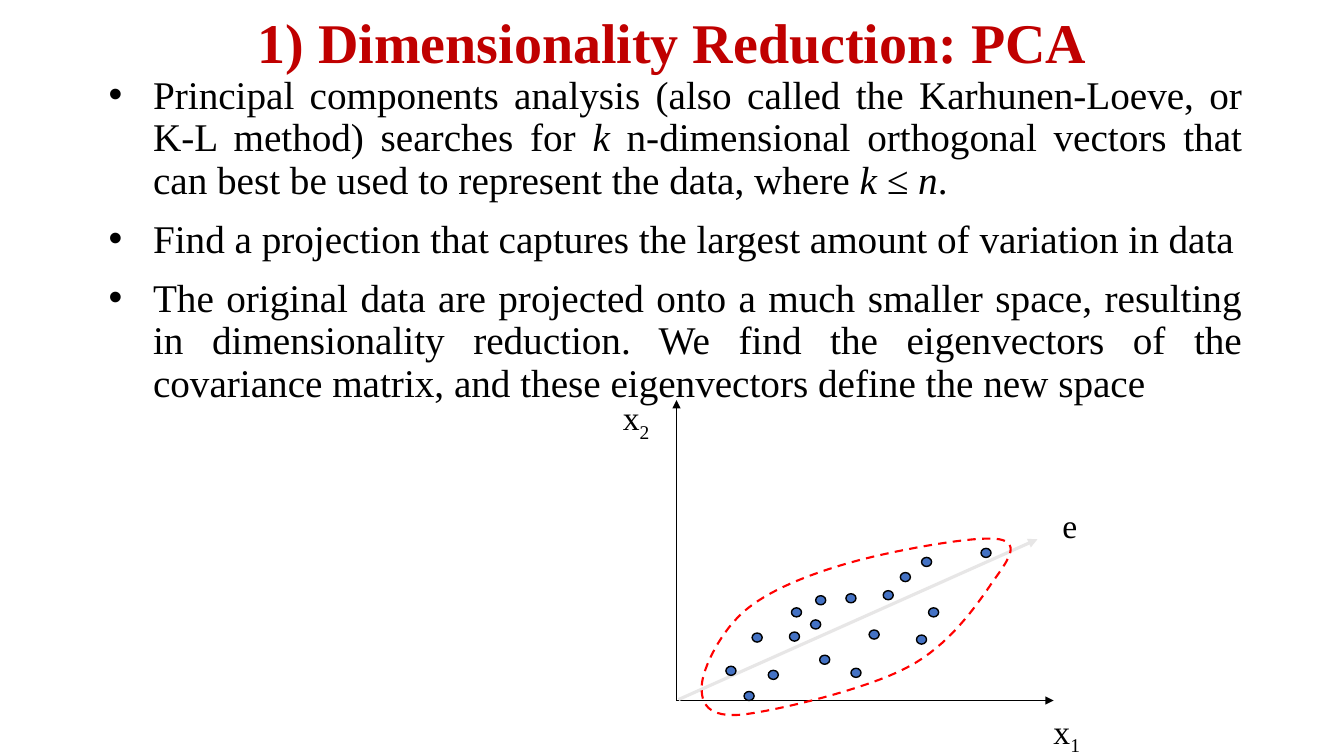
from pptx import Presentation
from pptx.dml.color import RGBColor
from pptx.enum.dml import MSO_LINE_DASH_STYLE as Dash
from pptx.enum.shapes import MSO_CONNECTOR as Conn, MSO_SHAPE as Kind
from pptx.enum.text import MSO_ANCHOR as Anchor, PP_ALIGN as Align
from pptx.oxml.ns import qn
from pptx.util import Inches, Pt
from lxml.etree import SubElement

# Content: a paragraph is a list of (text, style) runs
FONT = "Times New Roman"
TITLE = [[("1) Dimensionality Reduction: PCA", "")]]
BODY = [
    [("Principal components analysis (also called the Karhunen-Loeve, or K-L method) "
      "searches for ", ""), ("k", "i"),
     (" n-dimensional orthogonal vectors that can best be used to represent the data, "
      "where ", ""), ("k ≤ n", "i"), (".", "")],
    [("Find a projection that captures the largest amount of variation in data", "")],
    [("The original data are projected onto a much smaller space, resulting in "
      "dimensionality reduction. We find the eigenvectors of the covariance matrix, "
      "and these eigenvectors define the new space", "")],
]

# Plot data, in hundredths of an inch right of and above the origin
ORIGIN = (6.71, 6.95)
ARROWS = [
    ((0, 0), (0, 298), "000000", 1),
    ((0, 0), (374, 0), "000000", 1),
    ((2, 1), (358, 160), "E7E6E6", 2.25),
]
DOTS = [(75, 58), (114, 83), (49, 25), (133, 71), (112, 59), (191, 61),
        (173, 23), (142, 36), (168, 97), (250, 83), (302, 142), (91, 21),
        (205, 100), (243, 133), (138, 95), (222, 118), (238, 56), (67, 0)]
DOT = (0.1, 0.09)
CLOUD = [(25, 15),
         (26, 32), (44, 70), (70, 91),
         (96, 112), (139, 128), (180, 139),
         (222, 150), (298, 164), (320, 160),
         (342, 156), (328, 138), (313, 117),
         (298, 95), (270, 54), (229, 33),
         (188, 11), (99, -10), (65, -14),
         (31, -17), (24, -3), (25, 15)]
STEPS = 16
LABELS = [("x", "2", (-40, 278)), ("x", "1", (387, -33)), ("e", "", (390, 174))]
LABEL = (0.48, 0.46)

deck = Presentation()
deck.slide_width, deck.slide_height = Inches(13.33), Inches(7.5)
slide = deck.slides.add_slide(deck.slide_layouts[6])
shapes = slide.shapes


def color(code):
    return RGBColor.from_string(code)


def place(x, y):
    return ORIGIN[0] + x / 100, ORIGIN[1] - y / 100


def write(paras, box, size, ink="000000", bold=False, align=Align.CENTER,
          anchor=Anchor.MIDDLE, wrap=True, lead=None, gap=None, bullet=False):
    frame = shapes.add_textbox(*map(Inches, box)).text_frame
    frame.word_wrap, frame.vertical_anchor = wrap, anchor
    for i, runs in enumerate(paras):
        para = frame.add_paragraph() if i else frame.paragraphs[0]
        para.alignment, para.line_spacing = align, lead
        if gap:
            para.space_before = para.space_after = Pt(gap)
        if bullet:
            props = para._p.get_or_add_pPr()
            props.set("marL", str(Inches(0.5)))
            props.set("indent", str(Inches(-0.44)))
            SubElement(props, qn("a:buFont")).set("typeface", "Arial")
            SubElement(props, qn("a:buChar")).set("char", "•")
        for text, style in runs:
            run = para.add_run()
            run.text = text
            font = run.font
            font.name, font.size, font.bold = FONT, Pt(size), bold
            font.italic = style == "i"
            font.color.rgb = color(ink)
            if style == "sub":
                font._element.set("baseline", "-25000")


def arrow(start, end, ink, width):
    ends = [Inches(v) for v in place(*start) + place(*end)]
    line = shapes.add_connector(Conn.STRAIGHT, *ends)
    line.line.color.rgb, line.line.width = color(ink), Pt(width)
    SubElement(line.line._get_or_add_ln(), qn("a:tailEnd")).set("type", "triangle")
    SubElement(line._element.spPr, qn("a:effectLst"))


def trace(knots):
    """Points along a chain of cubic curves."""
    for i in range(0, len(knots) - 1, 3):
        for step in range(1, STEPS + 1):
            t = step / STEPS
            u = 1 - t
            mix = (u ** 3, 3 * u * u * t, 3 * u * t * t, t ** 3)
            x, y = (sum(m * k[axis] for m, k in zip(mix, knots[i:i + 4]))
                    for axis in (0, 1))
            yield tuple(map(Inches, place(x, y)))


# Title and bullets
write(TITLE, (0, 0.04, 13.33, 0.81), 40, ink="C00000", bold=True, lead=0.9)
write(BODY, (0.92, 0.7, 11.5, 6.54), 28, align=Align.JUSTIFY, anchor=Anchor.TOP,
      lead=0.9, gap=6, bullet=True)

# Axes and main direction
for item in ARROWS:
    arrow(*item)

# Data points, placed by their lower left corner
for spot in DOTS:
    x, y = place(*spot)
    dot = shapes.add_shape(Kind.OVAL, *map(Inches, (x, y - DOT[1], *DOT)))
    dot.shadow.inherit = False
    dot.fill.solid()
    dot.fill.fore_color.rgb = color("4472C4")
    dot.line.color.rgb, dot.line.width = color("000000"), Pt(1)

# Dashed outline of the cloud
pen = shapes.build_freeform(*map(Inches, place(*CLOUD[0])))
pen.add_line_segments(list(trace(CLOUD)), close=True)
ring = pen.convert_to_shape()
ring.shadow.inherit = False
ring.fill.background()
ring.line.color.rgb, ring.line.width = color("FF0000"), Pt(1.5)
ring.line.dash_style = Dash.DASH

# Labels, centred on their spots
for name, sub, spot in LABELS:
    x, y = place(*spot)
    runs = [(name, "")] + ([(sub, "sub")] if sub else [])
    write([runs], (x - LABEL[0] / 2, y - LABEL[1] / 2, *LABEL), 24, wrap=False)

deck.save("out.pptx")
